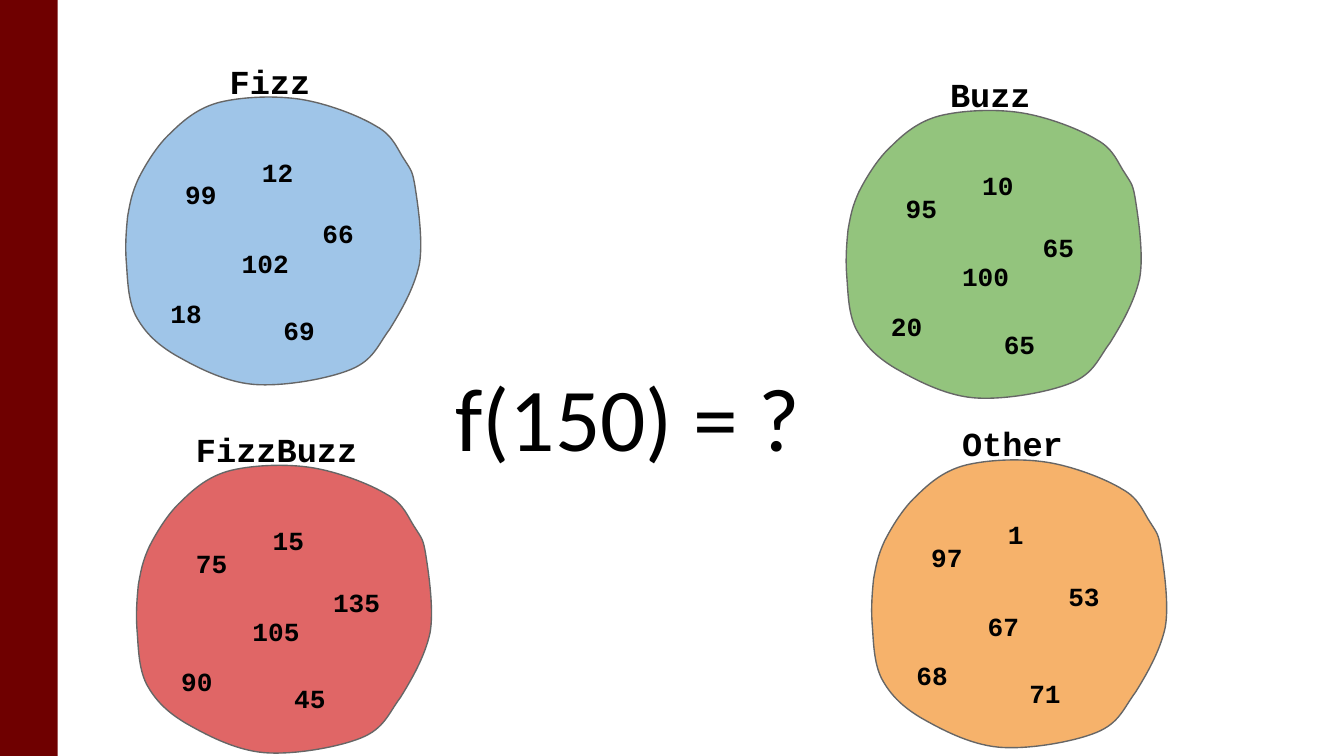
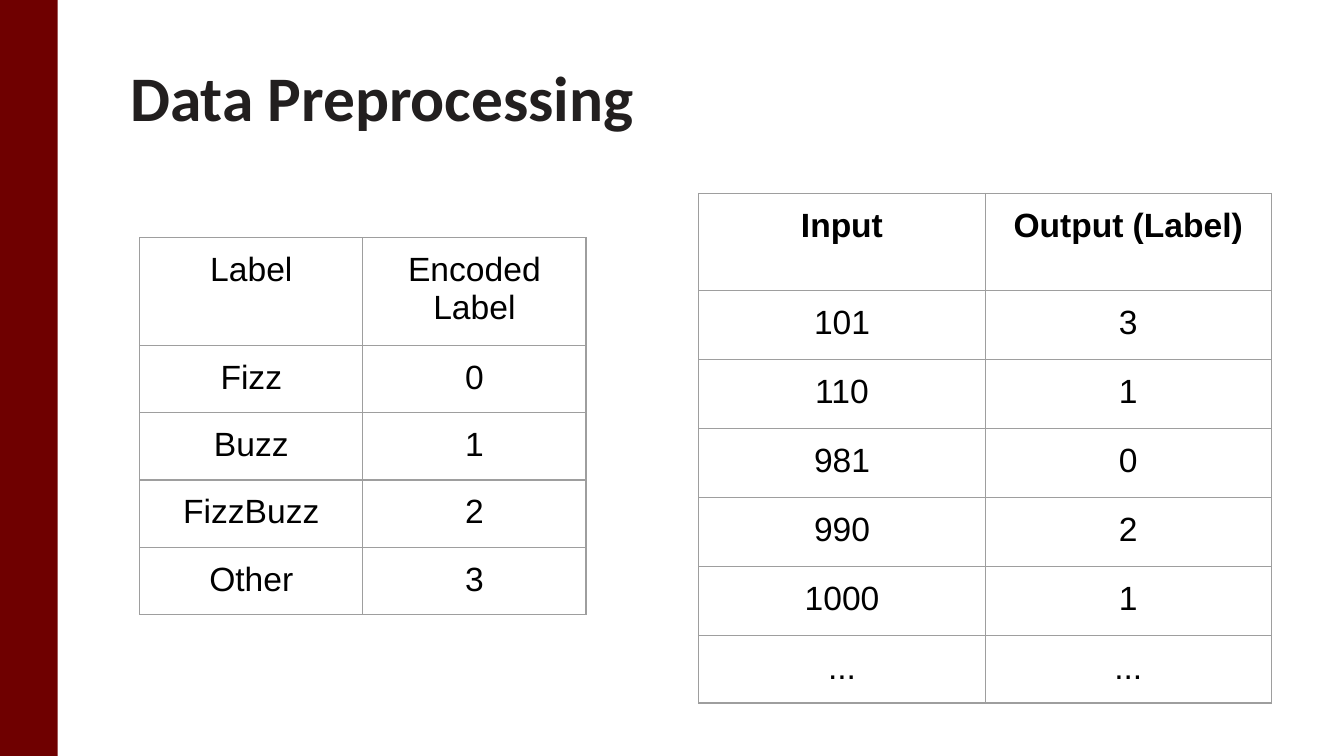
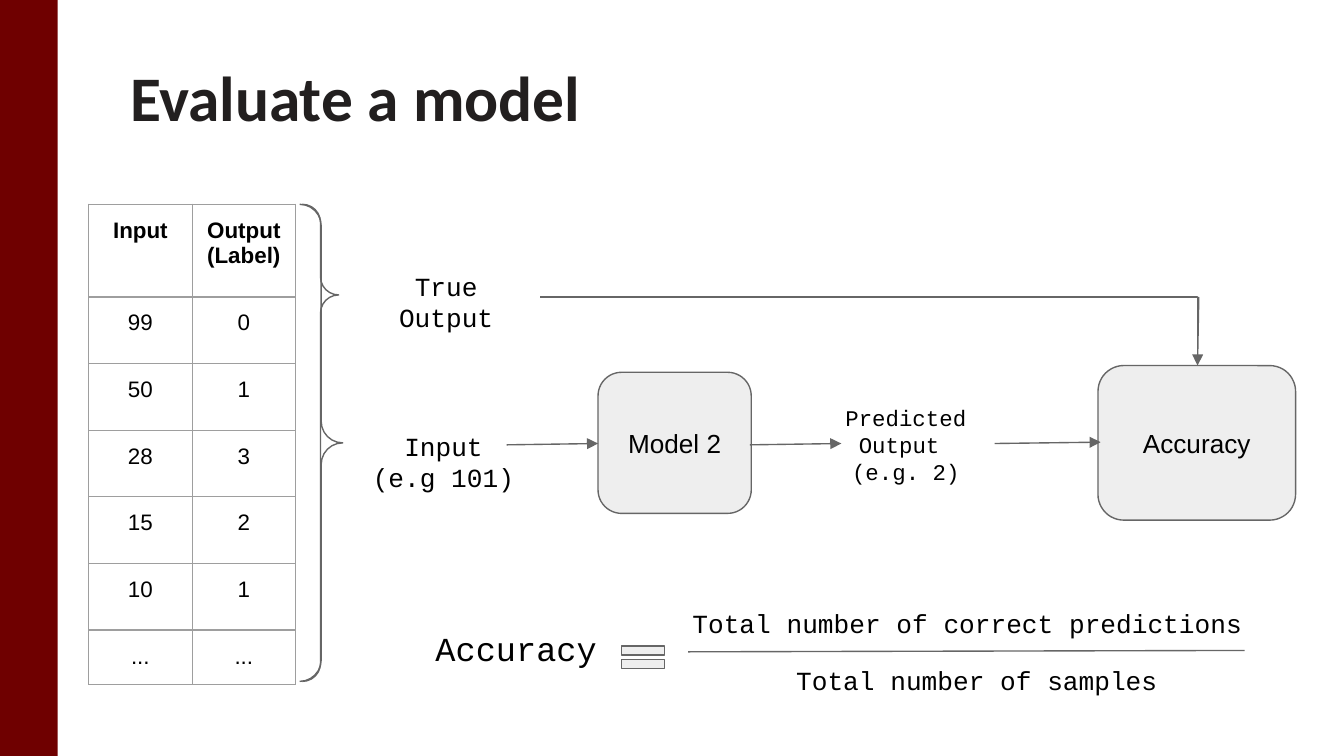
"""Build three slides on classifying FizzBuzz numbers and evaluating a model."""
from lxml import etree
from pptx import Presentation
from pptx.dml.color import RGBColor
from pptx.enum import shapes, text
from pptx.oxml.ns import qn
from pptx.util import Inches, Pt

SLIDE_WIDTH = Inches(10)
SLIDE_HEIGHT = SLIDE_WIDTH * 9 // 16
MAROON = RGBColor(0x6F, 0x00, 0x00)
INK = RGBColor(0x22, 0x1F, 0x1F)
BLACK = RGBColor(0x00, 0x00, 0x00)
GREY = RGBColor(0x66, 0x66, 0x66)
PALE = RGBColor(0xEE, 0xEE, 0xEE)
BORDER = RGBColor(0x9E, 0x9E, 0x9E)
BLUE = RGBColor(0x9F, 0xC5, 0xE8)
GREEN = RGBColor(0x93, 0xC4, 0x7D)
RED = RGBColor(0xE0, 0x66, 0x66)
ORANGE = RGBColor(0xF6, 0xB2, 0x6B)
SANS, MONO, HEAD = "Arial", "Courier New", "Calibri"
LEFT, CENTER = text.PP_ALIGN.LEFT, text.PP_ALIGN.CENTER
TOP, MIDDLE, BOTTOM = (text.MSO_ANCHOR.TOP, text.MSO_ANCHOR.MIDDLE,
                       text.MSO_ANCHOR.BOTTOM)
SHAPE = shapes.MSO_SHAPE

GROUPS = [
    ("Fizz", 0.94, 0.73, 1.61, 0.92, BLUE, ["99", "18", "12", "66", "69", "102"]),
    ("Buzz", 6.3, 0.83, 6.97, 0.92, GREEN, ["95", "20", "10", "65", "65", "100"]),
    ("FizzBuzz", 1.02, 3.47, 1.36, 1.52, RED, ["75", "90", "15", "135", "45", "105"]),
    ("Other", 6.49, 3.43, 7.06, 1.02, ORANGE, ["97", "68", "1", "53", "71", "67"]),
]
NUMBER_SPOTS = [(0.34, 0.5), (0.23, 1.38), (0.91, 0.33), (1.36, 0.79),
                (1.07, 1.51), (0.76, 1.01)]
BLOB_START = (0.09, 0.6)
BLOB_CURVES = [
    (0.14, 0.5), (0.23, 0.35), (0.33, 0.26),
    (0.43, 0.16), (0.54, 0.07), (0.7, 0.03),
    (0.87, -0.01), (1.11, -0.02), (1.3, 0.01),
    (1.49, 0.04), (1.73, 0.13), (1.86, 0.21),
    (1.99, 0.28), (2.02, 0.39), (2.07, 0.46),
    (2.12, 0.54), (2.13, 0.54), (2.15, 0.67),
    (2.17, 0.8), (2.21, 1.07), (2.18, 1.24),
    (2.14, 1.42), (2.04, 1.59), (1.96, 1.72),
    (1.87, 1.84), (1.84, 1.95), (1.67, 2.02),
    (1.5, 2.09), (1.16, 2.15), (0.94, 2.13),
    (0.72, 2.11), (0.5, 1.99), (0.36, 1.91),
    (0.21, 1.82), (0.13, 1.73), (0.07, 1.62),
    (0.01, 1.5), (0.01, 1.34), (0, 1.22),
    (-0.01, 1.09), (0, 0.98), (0.01, 0.88),
    (0.03, 0.77), (0.04, 0.71), BLOB_START,
]

ENCODING = [("Label", "Encoded Label"), ("Fizz", "0"), ("Buzz", "1"),
            ("FizzBuzz", "2"), ("Other", "3")]
HEADER = ("Input", "Output (Label)")
TRAINING = [HEADER, ("101", "3"), ("110", "1"), ("981", "0"), ("990", "2"),
            ("1000", "1")]
TESTING = [HEADER, ("99", "0"), ("50", "1"), ("28", "3"), ("15", "2"), ("10", "1")]
MORE = [("...", "...")]

BOXES = [("Model 2", (4.45, 2.77, 1.14, 1.05)), ("Accuracy", (8.17, 2.72, 1.47, 1.15))]
ARROWS = [(3.77, 3.31, 4.45, 3.3), (5.58, 3.31, 6.26, 3.3), (7.4, 3.3, 8.19, 3.29),
          (8.92, 2.21, 8.91, 2.72)]
BRACES = [((2.23, 1.52, 0.32, 3.55), 0.5), ((2.25, 1.52, 0.27, 3.55), 0.19)]
LABELS = [
    (["Input", "(e.g 101)"], (2.59, 3.1, 1.42, 0.6), 14),
    (["Predicted", "Output ", "(e.g. 2)"], (6.17, 2.91, 1.14, 0.6), 12),
    (["True Output"], (2.61, 1.91, 1.42, 0.6), 14),
    (["Total number of correct predictions"], (4.82, 4.42, 4.76, 0.51), 14),
    (["Total number of samples"], (4.89, 4.84, 4.76, 0.51), 14),
    (["Accuracy"], (3.13, 4.57, 1.42, 0.28), 18),
]


def inches(values):
    return [Inches(v) for v in values]


def write(tf, lines, size, font, color=BLACK, bold=False, align=LEFT, anchor=TOP):
    tf.word_wrap = True
    tf.vertical_anchor = anchor
    tf.margin_left = tf.margin_right = tf.margin_top = tf.margin_bottom = Inches(0.1)
    for i, line in enumerate(lines):
        p = tf.add_paragraph() if i else tf.paragraphs[0]
        add_run(p, line, size, font, color, bold, align)


def add_run(p, line, size, font, color, bold, align):
    p.alignment = align
    r = p.add_run()
    r.text = line
    r.font.size, r.font.name, r.font.bold = Pt(size), font, bold
    r.font.color.rgb = color
    return r


def add_text(s, box, lines, size, font, **style):
    write(s.shapes.add_textbox(*inches(box)).text_frame, lines, size, font, **style)


def paint(sp, fill=None, line=GREY):
    sp.shadow.inherit = False
    if fill is None:
        sp.fill.background()
    else:
        sp.fill.solid()
        sp.fill.fore_color.rgb = fill
    if line is None:
        sp.line.fill.background()
    else:
        sp.line.color.rgb, sp.line.width = line, Pt(0.75)


def add_shape(s, kind, box, fill=None, line=GREY, adjust=()):
    sp = s.shapes.add_shape(kind, *inches(box))
    paint(sp, fill, line)
    for i, value in enumerate(adjust):
        sp.adjustments[i] = value
    return sp


def add_line(s, ends, arrow=False, kind=shapes.MSO_CONNECTOR.STRAIGHT):
    c = s.shapes.add_connector(kind, *inches(ends))
    c.line.color.rgb, c.line.width = GREY, Pt(0.75)
    if arrow:
        ln = c._element.spPr.find(qn("a:ln"))
        etree.SubElement(ln, qn("a:tailEnd"), type="triangle")
    etree.SubElement(c._element.spPr, qn("a:effectLst"))
    return c


def add_blob(s, x, y, fill):
    (x0, y0), points = BLOB_START, [(x + dx, y + dy) for dx, dy in BLOB_CURVES]
    fb = s.shapes.build_freeform(Inches(x + x0), Inches(y + y0))
    fb.add_line_segments([inches(point) for point in points], close=True)
    sp = fb.convert_to_shape()
    paint(sp, fill)
    segments = list(sp._element.iter(qn("a:lnTo")))
    for i in range(0, len(BLOB_CURVES), 3):
        curve = etree.Element(qn("a:cubicBezTo"))
        segments[i].addprevious(curve)
        for segment in segments[i:i + 3]:
            curve.append(segment[0])
            segment.getparent().remove(segment)


def add_borders(cell):
    tc_pr = cell._tc.get_or_add_tcPr()
    for i, side in enumerate(("lnL", "lnR", "lnT", "lnB")):
        ln = etree.Element(qn("a:" + side), w=str(Pt(0.75)))
        fill = etree.SubElement(ln, qn("a:solidFill"))
        etree.SubElement(fill, qn("a:srgbClr"), val=str(BORDER))
        tc_pr.insert(i, ln)


def set_all_scripts(p, r, size, font):
    end = etree.SubElement(p._p, qn("a:endParaRPr"), sz=str(size * 100))
    etree.SubElement(end, qn("a:latin"), typeface=font)
    for props in (r.font._element, end):
        for script in ("ea", "cs"):
            etree.SubElement(props, qn("a:" + script), typeface=font)


def add_table(s, x, y, rows, col_width, heights, size, bold_header=False):
    box = (x, y, col_width * len(rows[0]), sum(heights))
    table = s.shapes.add_table(len(rows), len(rows[0]), *inches(box)).table
    table.first_row = table.horz_banding = False
    for column in table.columns:
        column.width = Inches(col_width)
    for i, (values, height) in enumerate(zip(rows, heights)):
        table.rows[i].height = Inches(height)
        for j, value in enumerate(values):
            cell = table.cell(i, j)
            cell.fill.background()
            add_borders(cell)
            cell.margin_left = cell.margin_right = Inches(0.1)
            cell.margin_top = cell.margin_bottom = Inches(0.1)
            p = cell.text_frame.paragraphs[0]
            r = add_run(p, value, size, SANS, BLACK, bold_header and i == 0, CENTER)
            set_all_scripts(p, r, size, SANS)


def add_samples(s, x, y, rows, more_y, col_width, header_height, size):
    row_height = (more_y - y - header_height) / (len(rows) - 1)
    heights = [header_height] + [row_height] * (len(rows) - 1)
    add_table(s, x, y, rows, col_width, heights, size, bold_header=True)
    add_table(s, x, more_y, MORE, col_width, [0.22], size)


def add_slide(prs, title=None):
    s = prs.slides.add_slide(prs.slide_layouts[6])
    band = add_shape(s, SHAPE.RECTANGLE, (0, 0, 0.43, 5.62), MAROON, None)
    band.height = SLIDE_HEIGHT
    if title:
        add_text(s, (0.87, 0.18, 8.5, 0.92), [title], 34, HEAD,
                 color=INK, bold=True, anchor=BOTTOM)
    return s


def groups_slide(prs):
    s = add_slide(prs)
    for name, x, y, name_x, name_width, fill, numbers in GROUPS:
        add_blob(s, x, y, fill)
        for number, (dx, dy) in zip(numbers, NUMBER_SPOTS):
            width = 0.6 if len(number) > 2 else 0.52
            add_text(s, (x + dx, y + dy, width, 0.38), [number], 14, MONO, bold=True)
        add_text(s, (name_x, y - 0.38, name_width, 0.38), [name], 18, MONO, bold=True)
    add_text(s, (3.29, 2.59, 2.94, 1.04), ["f(150) = ?"], 48, HEAD)


def preprocessing_slide(prs):
    s = add_slide(prs, "Data Preprocessing")
    add_table(s, 1.04, 1.77, ENCODING, 1.66, [0.42] * len(ENCODING), 18)
    add_samples(s, 5.2, 1.44, TRAINING, 4.73, 2.13, 0.72, 18)


def evaluation_slide(prs):
    s = add_slide(prs, "Evaluate a model")
    add_samples(s, 0.66, 1.52, TESTING, 4.69, 0.77, 0.69, 12)
    for name, box in BOXES:
        sp = add_shape(s, SHAPE.ROUNDED_RECTANGLE, box, PALE, adjust=[0.167])
        write(sp.text_frame, [name], 14, SANS, align=CENTER, anchor=MIDDLE)
    for box, point in BRACES:
        add_shape(s, SHAPE.RIGHT_BRACE, box, adjust=[0.5, point])
    for ends in ARROWS:
        add_line(s, ends, arrow=True)
    bend = add_line(s, (4.02, 2.21, 8.91, 2.72), kind=shapes.MSO_CONNECTOR.ELBOW)
    bend._element.spPr.find(qn("a:prstGeom")).set("prst", "bentConnector2")
    for lines, box, size in LABELS:
        add_text(s, box, lines, size, MONO, align=CENTER)
    add_line(s, (5.12, 4.85, 9.26, 4.84))
    add_shape(s, SHAPE.MATH_EQUAL, (4.57, 4.75, 0.43, 0.28), PALE, adjust=[0.235, 0.118])


def main():
    prs = Presentation()
    prs.slide_width, prs.slide_height = SLIDE_WIDTH, SLIDE_HEIGHT
    groups_slide(prs)
    preprocessing_slide(prs)
    evaluation_slide(prs)
    prs.save("out.pptx")


if __name__ == "__main__":
    main()
